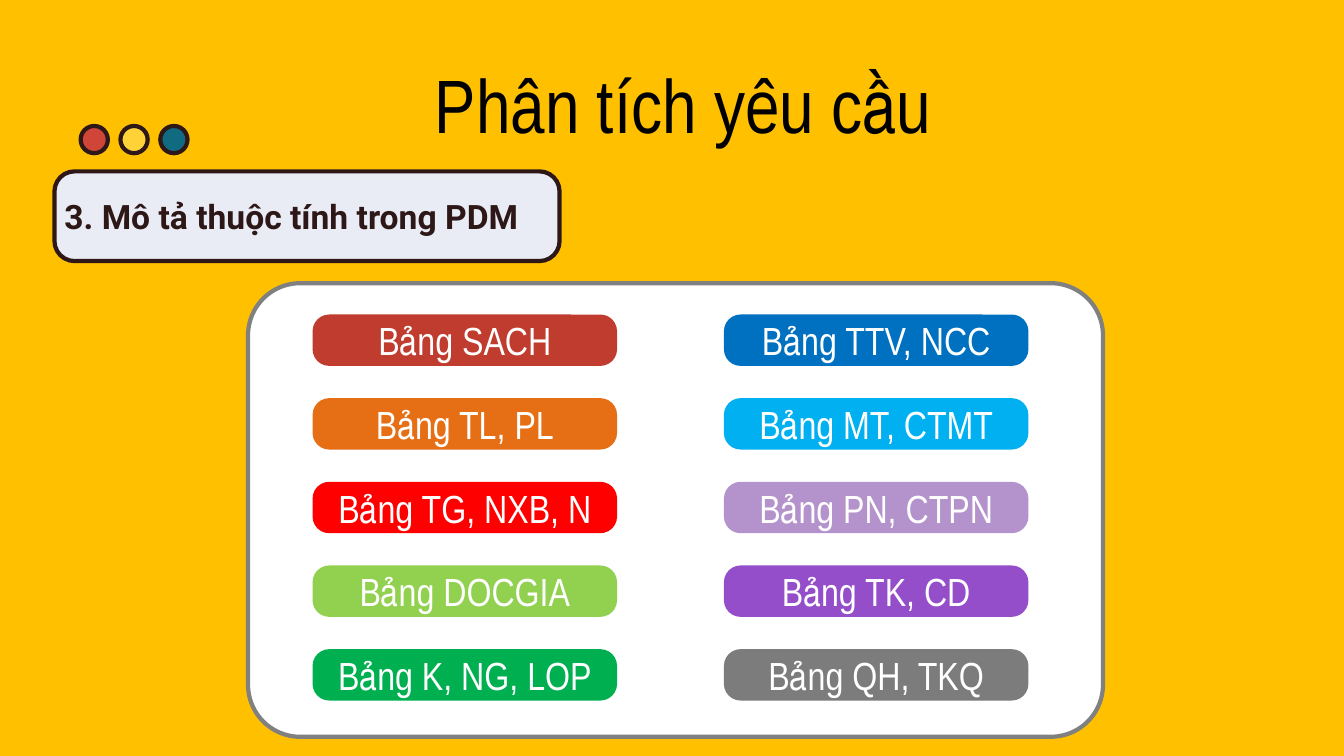
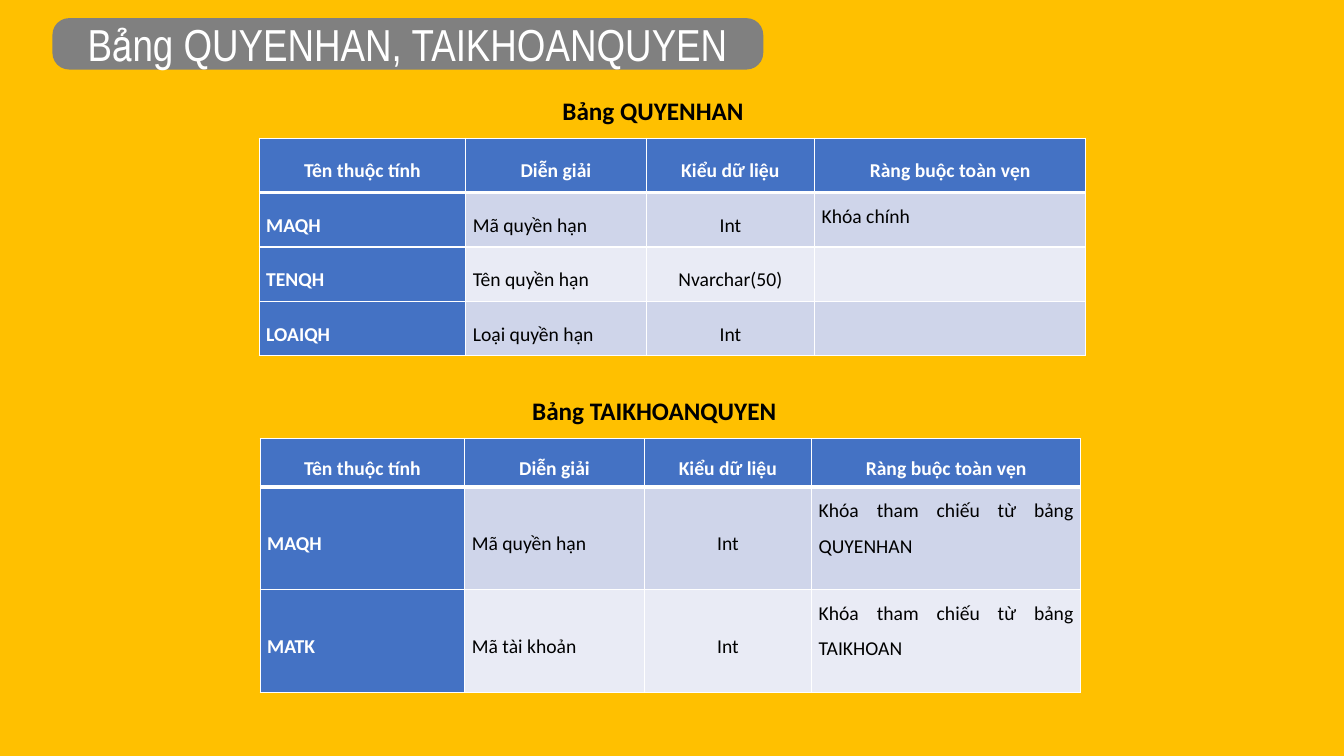
from lxml.etree import SubElement
from pptx import Presentation
from pptx.dml.color import RGBColor
from pptx.enum.shapes import MSO_SHAPE as Shape
from pptx.enum.text import MSO_ANCHOR as Anchor, MSO_AUTO_SIZE as AutoSize, PP_ALIGN as Align
from pptx.oxml.ns import qn
from pptx.util import Inches, Pt

COLORS = {
    "background": "FFC000", "black": "000000", "white": "FFFFFF", "outline": "2D1817",
    "gray": "808080", "header": "4472C4", "band_dark": "CFD5EA", "band_light": "E9EBF5",
    "dot_red": "CF4538", "dot_yellow": "FFD237", "dot_teal": "106B80",
    "brick": "C03C2E", "orange": "E66E14", "red": "FF0000", "lime": "92D050",
    "green": "00B050", "blue": "0070C0", "sky": "00B0F0", "lilac": "B493CD",
    "purple": "954ECA", "dark_gray": "7C7C7C",
}
TITLE_FONT, LABEL_FONT, TABLE_FONT = "Arial Narrow", "Roboto", "Calibri"

MENU_TITLE = "Phân tích yêu cầu"
SECTION = "3. Mô tả thuộc tính trong PDM"
DOTS = ["dot_red", "dot_yellow", "dot_teal"]
MENU_COLUMNS = [
    (3.1, [("Bảng SACH", "brick"), ("Bảng TL, PL", "orange"), ("Bảng TG, NXB, N", "red"),
           ("Bảng DOCGIA", "lime"), ("Bảng K, NG, LOP", "green")]),
    (7.18, [("Bảng TTV, NCC", "blue"), ("Bảng MT, CTMT", "sky"), ("Bảng PN, CTPN", "lilac"),
            ("Bảng TK, CD", "purple"), ("Bảng QH, TKQ", "dark_gray")]),
]
MENU_TOP, MENU_PITCH = 3.12, 0.83
PILL_HEIGHT, PILL_ROUNDING = 0.51, 0.325

TABLES_TITLE = "Bảng QUYENHAN, TAIKHOANQUYEN"
HEADER = ("Tên thuộc tính", "Diễn giải", "Kiểu dữ liệu", "Ràng buộc toàn vẹn")
TABLES = [
    {"caption": "Bảng QUYENHAN", "caption_box": (5.48, 0.9, 2.38, 0.4),
     "left": 2.57, "top": 1.37, "columns": (2.05, 1.79, 1.67, 2.69),
     "header_height": 0.54, "row_height": 0.54,
     "rows": [("MAQH", "Mã quyền hạn", "Int", "Khóa chính"),
              ("TENQH", "Tên quyền hạn", "Nvarchar(50)", ""),
              ("LOAIQH", "Loại quyền hạn", "Int", "")]},
    {"caption": "Bảng TAIKHOANQUYEN", "caption_box": (5.18, 3.87, 2.88, 0.4),
     "left": 2.58, "top": 4.35, "columns": (2.03, 1.78, 1.66, 2.67),
     "header_height": 0.48, "row_height": 1.02,
     "rows": [("MAQH", "Mã quyền hạn", "Int", "Khóa tham chiếu từ bảng QUYENHAN"),
              ("MATK", "Mã tài khoản", "Int", "Khóa tham chiếu từ bảng TAIKHOAN")]},
]


def rgb(name):
    return RGBColor.from_string(COLORS[name])


def set_attributes(target, values):
    for name, value in values.items():
        setattr(target, name, value)


def write(frame, text, font, size, color, bold=False, align=Align.LEFT, spacing=None):
    frame.text = text
    paragraph = frame.paragraphs[0]
    set_attributes(paragraph, {"alignment": align, "line_spacing": spacing})
    for run in paragraph.runs:
        set_attributes(run.font, {"name": font, "size": Pt(size), "bold": bold})
        run.font.color.rgb = rgb(color)


def add_box(shapes, kind, box, fill, line=None, rounding=None):
    shape = shapes.add_shape(kind, *map(Inches, box))
    shape.shadow.inherit = False
    shape.fill.solid()
    shape.fill.fore_color.rgb = rgb(fill)
    if line:
        shape.line.color.rgb = rgb(line)
        shape.line.width = Pt(3)
    else:
        shape.line.fill.background()
    if rounding is not None:
        shape.adjustments[0] = rounding
    set_attributes(shape.text_frame, {"word_wrap": True, "vertical_anchor": Anchor.MIDDLE})
    return shape


def add_pill(slide, box, fill):
    return add_box(slide.shapes, Shape.ROUNDED_RECTANGLE, box, fill, rounding=PILL_ROUNDING)


def set_title(slide, text, box, size, color):
    title = slide.shapes.title
    set_attributes(title, dict(zip(("left", "top", "width", "height"), map(Inches, box))))
    set_attributes(title.text_frame, {"auto_size": AutoSize.NONE, "word_wrap": True,
                                      "vertical_anchor": Anchor.MIDDLE})
    write(title.text_frame, text, TITLE_FONT, size, color, align=Align.CENTER)
    return title


def set_borders(cell, widths):
    properties = cell._tc.get_or_add_tcPr()
    for position, (side, width) in enumerate(widths.items()):
        line = properties.makeelement(qn(f"a:{side}"), {"w": str(Pt(width))})
        fill = SubElement(line, qn("a:solidFill"))
        SubElement(fill, qn("a:srgbClr"), {"val": COLORS["white"]})
        properties.insert(position, line)


def format_cell(cell, text, row, column):
    is_header = row == 0
    is_key = is_header or column == 0
    if is_key:
        fill = "header"
    else:
        fill = "band_dark" if row % 2 else "band_light"
    cell.fill.solid()
    cell.fill.fore_color.rgb = rgb(fill)
    is_note = column == 3 and not is_header
    set_attributes(cell, {
        "margin_left": Inches(0.07), "margin_right": Inches(0.07),
        "margin_top": 0, "margin_bottom": 0,
        "vertical_anchor": Anchor.TOP if is_note else Anchor.MIDDLE,
    })
    align = Align.CENTER if is_header or column == 2 else Align.JUSTIFY
    write(cell.text_frame, text, TABLE_FONT, 14, "white" if is_key else "black",
          is_key, align, 1.5)
    set_borders(cell, {"lnL": 1, "lnR": 1, "lnT": 3 if row == 1 else 1,
                       "lnB": 3 if is_header else 1})


def add_attribute_table(slide, data):
    rows = [HEADER, *data["rows"]]
    heights = [data["header_height"]] + [data["row_height"]] * len(data["rows"])
    box = (data["left"], data["top"], sum(data["columns"]), sum(heights))
    table = slide.shapes.add_table(len(rows), len(HEADER), *map(Inches, box)).table
    set_attributes(table, {"first_row": False, "horz_banding": False})
    for column, width in zip(table.columns, data["columns"]):
        column.width = Inches(width)
    for row_index, (texts, height) in enumerate(zip(rows, heights)):
        table.rows[row_index].height = Inches(height)
        for column_index, text in enumerate(texts):
            format_cell(table.cell(row_index, column_index), text, row_index, column_index)
    caption = slide.shapes.add_textbox(*map(Inches, data["caption_box"]))
    caption.text_frame.word_wrap = True
    write(caption.text_frame, data["caption"], TABLE_FONT, 18, "black", bold=True)


def build_menu(slide):
    set_title(slide, MENU_TITLE, (4.02, 0.5, 5.51, 1.04), 54, "black")
    section = add_box(slide.shapes, Shape.ROUNDED_RECTANGLE, (0.54, 1.7, 5.01, 0.89),
                      "band_light", "outline", 0.224)
    section.text_frame.margin_left = Inches(0.04)
    write(section.text_frame, SECTION, LABEL_FONT, 24, "outline", bold=True)
    dots = slide.shapes.add_group_shape()
    for index, color in enumerate(DOTS):
        add_box(dots.shapes, Shape.OVAL, (0.8 + 0.395 * index, 1.25, 0.27, 0.27),
                color, "outline")
    add_box(slide.shapes, Shape.ROUNDED_RECTANGLE, (2.46, 2.81, 8.48, 4.5),
            "white", "gray", 0.115)
    for left, items in MENU_COLUMNS:
        for index, (text, color) in enumerate(items):
            box = (left, MENU_TOP + MENU_PITCH * index, 3.02, PILL_HEIGHT)
            pill = add_pill(slide, box, color)
            write(pill.text_frame, text, TITLE_FONT, 28, "white", align=Align.CENTER)


def build_tables(slide):
    box = (0.52, 0.18, 7.05, PILL_HEIGHT)
    pill = add_pill(slide, box, "gray")
    title = set_title(slide, TABLES_TITLE, box, 32, "white")
    pill.element.addnext(title.element)
    for data in TABLES:
        add_attribute_table(slide, data)


def main():
    presentation = Presentation()
    set_attributes(presentation, {"slide_width": Inches(13.33), "slide_height": Inches(7.5)})
    background = presentation.slide_master.background.fill
    background.solid()
    background.fore_color.rgb = rgb("background")
    title_only = presentation.slide_layouts.get_by_name("Title Only")
    for build in (build_menu, build_tables):
        build(presentation.slides.add_slide(title_only))
    presentation.save("out.pptx")


if __name__ == "__main__":
    main()
